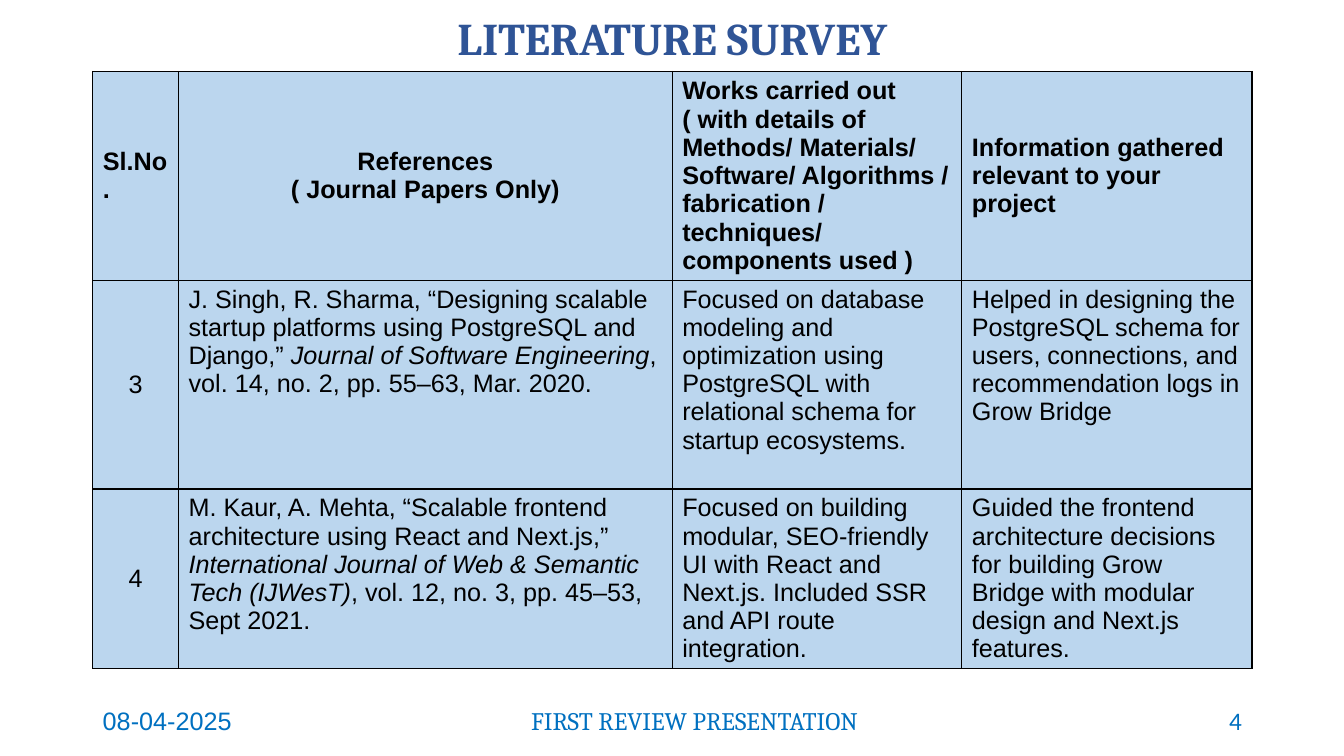
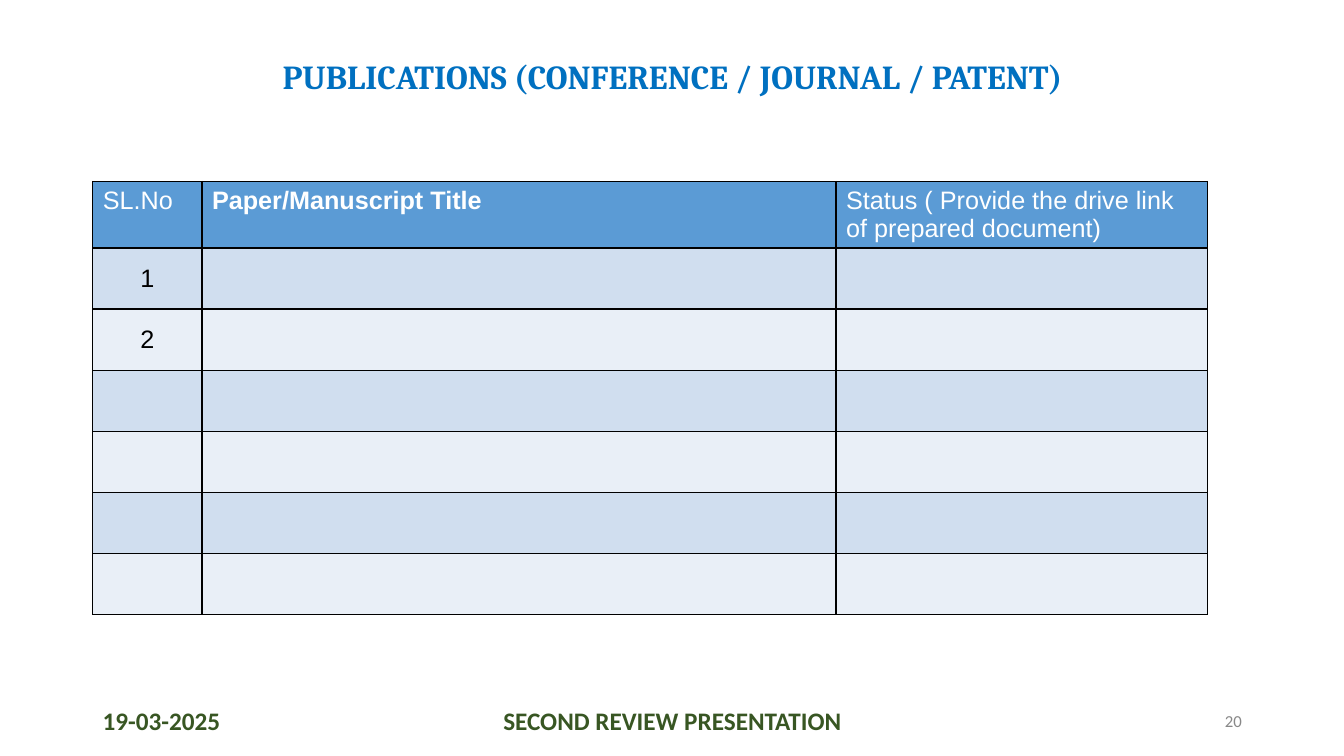
"""Builds two review slides, a literature survey and a publications list, around bordered tables."""
from lxml import etree
from pptx import Presentation
from pptx.dml.color import RGBColor
from pptx.enum import text as t
from pptx.oxml.ns import qn
from pptx.util import Cm, Pt

BLACK = RGBColor(0x00, 0x00, 0x00)
WHITE = RGBColor(0xFF, 0xFF, 0xFF)
NAVY = RGBColor(0x2F, 0x54, 0x96)
BLUE = RGBColor(0x00, 0x70, 0xC0)
GREEN = RGBColor(0x38, 0x56, 0x23)
GREY = RGBColor(0x88, 0x88, 0x88)
PALE_BLUE = RGBColor(0xBB, 0xD6, 0xEE)
HEADER_BLUE = RGBColor(0x5B, 0x9B, 0xD5)
BANDS = [RGBColor(0xD0, 0xDE, 0xEF), RGBColor(0xE9, 0xEF, 0xF7)]

LEFT, CONTENT_WIDTH = 2.34, 29.21
FOOTER_TOP, FOOTER_HEIGHT, FOOTER_SIDE, FOOTER_MIDDLE = 17.65, 1.02, 7.62, 11.43
LEFT_ALIGN, CENTER, RIGHT = t.PP_ALIGN.LEFT, t.PP_ALIGN.CENTER, t.PP_ALIGN.RIGHT
TOP, MIDDLE = t.MSO_ANCHOR.TOP, t.MSO_ANCHOR.MIDDLE

SURVEY = {
    "title": ("LITERATURE SURVEY", 0.66, 0.76, 32.4, NAVY),
    "date": ("08-04-2025", "Arial", 18, BLUE, False),
    "event": ("FIRST REVIEW PRESENTATION", "Cambria", 18, BLUE, False),
    "event_left": 11.79,
    "number": ("4", "Calibri", 18, BLUE, False),
    "table_top": 1.8,
    "columns": [2.16, 12.44, 7.3, 7.31],
    "row_heights": [5.26, 5.26, 4.42],
    "header_fill": PALE_BLUE,
    "header_color": BLACK,
    "header_anchor": MIDDLE,
    "header_aligns": [LEFT_ALIGN, CENTER, LEFT_ALIGN, LEFT_ALIGN],
    "bold_headers": [True] * 4,
    "bands": [PALE_BLUE],
    "rows": [
        ["Sl.No.",
         "References\n( Journal Papers Only)",
         "Works carried out\n( with details of Methods/ Materials/ Software/ Algorithms / "
         "fabrication / techniques/ components used )",
         "Information gathered relevant to your project"],
        ["3",
         ("J. Singh, R. Sharma, “Designing scalable startup platforms using PostgreSQL and Django,” ",
          "Journal of Software Engineering",
          ", vol. 14, no. 2, pp. 55–63, Mar. 2020."),
         "Focused on database modeling and optimization using PostgreSQL with relational "
         "schema for startup ecosystems.",
         "Helped in designing the PostgreSQL schema for users, connections, and "
         "recommendation logs in Grow Bridge"],
        ["4",
         ("M. Kaur, A. Mehta, “Scalable frontend architecture using React and Next.js,” ",
          "International Journal of Web & Semantic Tech (IJWesT)",
          ", vol. 12, no. 3, pp. 45–53, Sept 2021."),
         "Focused on building modular, SEO-friendly UI with React and Next.js. Included SSR "
         "and API route integration.",
         "Guided the frontend architecture decisions for building Grow Bridge with modular "
         "design and Next.js features."],
    ],
}

PUBLICATIONS = {
    "title": ("PUBLICATIONS (CONFERENCE / JOURNAL / PATENT)", 1.02, 1.9, 24, BLUE),
    "date": ("19-03-2025", "Calibri", 18, GREEN, True),
    "event": ("SECOND REVIEW PRESENTATION", "Calibri", 18, GREEN, True),
    "event_left": 11.23,
    "number": ("20", "Calibri", 12, GREY, False),
    "table_top": 4.57,
    "columns": [2.75, 15.98, 9.37],
    "row_heights": [1.54] * 7,
    "header_fill": HEADER_BLUE,
    "header_color": WHITE,
    "header_anchor": TOP,
    "header_aligns": [LEFT_ALIGN] * 3,
    "bold_headers": [False, True, False],
    "bands": BANDS,
    "rows": [
        ["SL.No", "Paper/Manuscript Title", "Status ( Provide the drive link of prepared document)"],
        ["1", "", ""],
        ["2", "", ""],
    ] + [["", "", ""]] * 4,
}


def style(paragraph, font_name, size, color, bold, align):
    paragraph.alignment = align
    font = paragraph.font
    font.name, font.size, font.bold = font_name, Pt(size), bold
    font.color.rgb = color


def add_title(slide, wording, top, height, size, color):
    title = slide.shapes.title
    title.left, title.top, title.width, title.height = map(Cm, (LEFT, top, CONTENT_WIDTH, height))
    frame = title.text_frame
    frame.text = wording
    frame.auto_size = t.MSO_AUTO_SIZE.NONE
    frame.vertical_anchor = MIDDLE
    frame.paragraphs[0].line_spacing = 0.9
    style(frame.paragraphs[0], "Cambria", size, color, True, CENTER)


def add_footer(slide, left, width, align, wording, font_name, size, color, bold):
    footer = slide.shapes.add_textbox(Cm(left), Cm(FOOTER_TOP), Cm(width), Cm(FOOTER_HEIGHT))
    frame = footer.text_frame
    frame.word_wrap = True
    frame.vertical_anchor = MIDDLE
    frame.text = wording
    style(frame.paragraphs[0], font_name, size, color, bold, align)


def add_borders(cell):
    properties = cell._tc.get_or_add_tcPr()
    for side in ("a:lnL", "a:lnR", "a:lnT", "a:lnB"):
        line = etree.SubElement(properties, qn(side), w=str(Pt(1)))
        solid = etree.SubElement(line, qn("a:solidFill"))
        etree.SubElement(solid, qn("a:srgbClr"), val=str(BLACK))


def write_cell(cell, content, fill, color, bold, align, anchor):
    add_borders(cell)
    cell.fill.solid()
    cell.fill.fore_color.rgb = fill
    cell.vertical_anchor = anchor
    if isinstance(content, tuple):
        for index, part in enumerate(content):
            run = cell.text_frame.paragraphs[0].add_run()
            run.text = part
            if index == 1:
                run.font.italic = True
    else:
        cell.text_frame.text = content
    for paragraph in cell.text_frame.paragraphs:
        style(paragraph, "Arial", 18, color, bold, align)


def add_grid(slide, page):
    columns, heights, rows = page["columns"], page["row_heights"], page["rows"]
    grid = slide.shapes.add_table(len(rows), len(columns), Cm(LEFT), Cm(page["table_top"]),
                                  Cm(sum(columns)), Cm(sum(heights))).table
    grid.first_row = grid.horz_banding = False
    for column, width in zip(grid.columns, columns):
        column.width = Cm(width)
    for row, height in zip(grid.rows, heights):
        row.height = Cm(height)
    for r, row in enumerate(rows):
        for c, content in enumerate(row):
            if r == 0:
                look = (page["header_fill"], page["header_color"], page["bold_headers"][c],
                        page["header_aligns"][c], page["header_anchor"])
            else:
                band = page["bands"][(r - 1) % len(page["bands"])]
                placing = (CENTER, MIDDLE) if c == 0 else (LEFT_ALIGN, TOP)
                look = (band, BLACK, False, *placing)
            write_cell(grid.cell(r, c), content, *look)


def main():
    deck = Presentation()
    deck.slide_width, deck.slide_height = Cm(33.87), Cm(19.05)
    for page in (SURVEY, PUBLICATIONS):
        slide = deck.slides.add_slide(deck.slide_layouts[5])
        add_title(slide, *page["title"])
        add_grid(slide, page)
        add_footer(slide, LEFT, FOOTER_SIDE, LEFT_ALIGN, *page["date"])
        add_footer(slide, page["event_left"], FOOTER_MIDDLE, CENTER, *page["event"])
        add_footer(slide, LEFT + CONTENT_WIDTH - FOOTER_SIDE, FOOTER_SIDE, RIGHT, *page["number"])
    deck.save("out.pptx")


if __name__ == "__main__":
    main()
